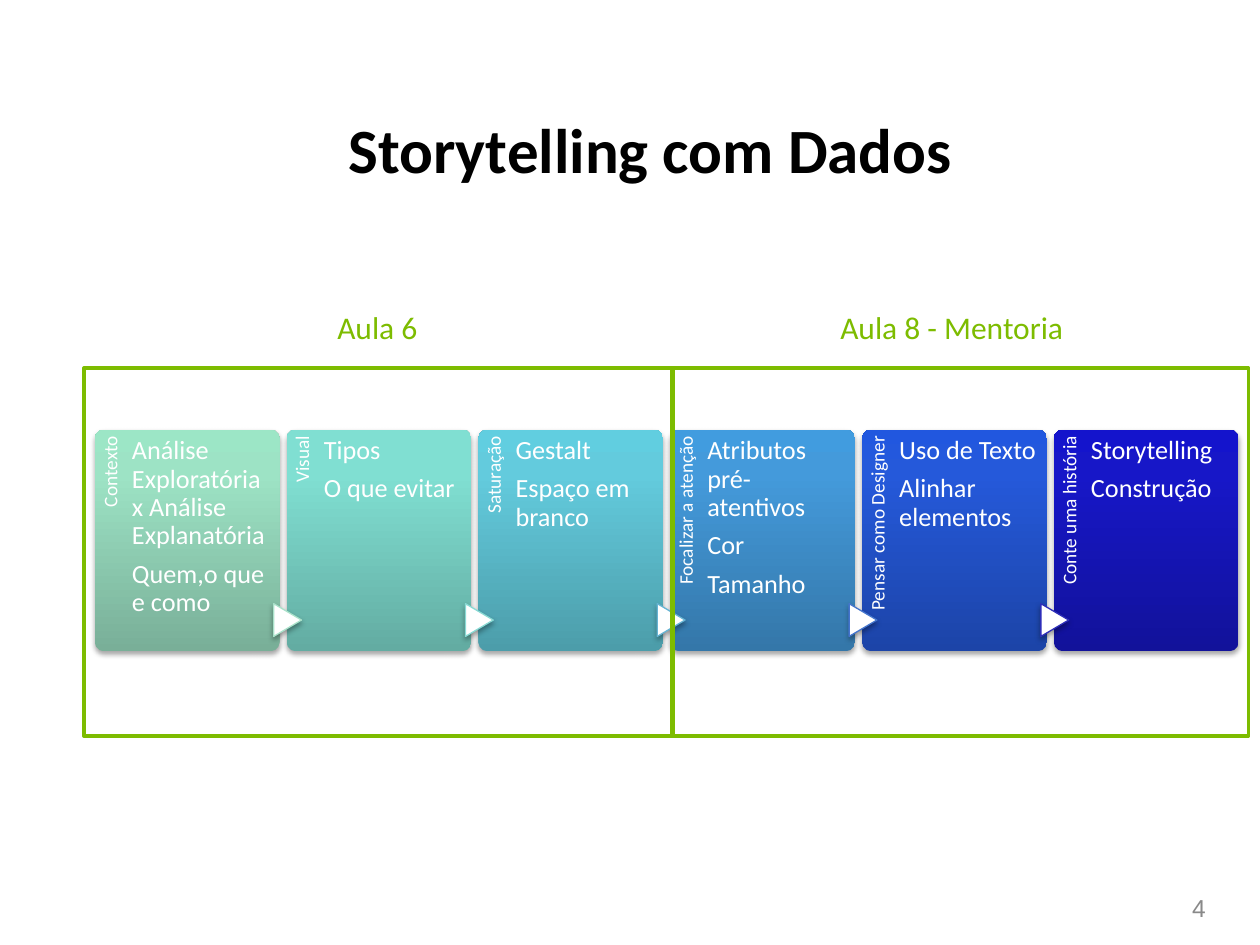
import pptx
import pptx.dml.color
import pptx.enum.shapes
import pptx.enum.text
import pptx.oxml
import pptx.oxml.ns
import pptx.util

Cm = pptx.util.Cm
Shape = pptx.enum.shapes.MSO_SHAPE
Align = pptx.enum.text.PP_ALIGN
Anchor = pptx.enum.text.MSO_ANCHOR
GREEN = "7DBC00"

# label, body lines, gradient from bottom to top, outline of the arrow leading in
STEPS = [
    ("Contexto", ["Análise Exploratória x Análise Explanatória", "Quem,o que e como"],
     ("79AF98", "9DE3C5", "9CE6C6"), None),
    ("Visual", ["Tipos", "O que evitar"],
     ("63ACA2", "80DFD2", "7FE2D4"), "AAE2CA"),
    ("Saturação", ["Gestalt", "Espaço em branco"],
     ("4C9DAA", "63CBDD", "61CEE0"), "89DAD4"),
    ("Focalizar a atenção", ["Atributos pré-atentivos", "Cor", "Tamanho"],
     ("3477A9", "449ADB", "419CDF"), "66B4D3"),
    ("Pensar como Designer", ["Uso de Texto", "Alinhar elementos"],
     ("1C44A8", "2559DA", "2157DF"), "4374CD"),
    ("Conte uma história", ["Storytelling", "Construção"],
     ("12129A", "1717C8", "1414CC"), "2D2DB9"),
]


def rgb(value):
    return pptx.dml.color.RGBColor.from_string(value)


def write(frame, *lines, size, color, font="Calibri", bold=False, align=Align.LEFT,
          anchor=Anchor.TOP, insets=(0.25, 0.13, 0.25, 0.13), wrap=True,
          spacing=1.0, after=0):
    """Fill a text frame, one paragraph per line; insets are in cm."""
    frame.auto_size = pptx.enum.text.MSO_AUTO_SIZE.NONE
    frame.word_wrap = wrap
    frame.vertical_anchor = anchor
    (frame.margin_left, frame.margin_top,
     frame.margin_right, frame.margin_bottom) = map(Cm, insets)
    for index, line in enumerate(lines):
        para = frame.add_paragraph() if index else frame.paragraphs[0]
        para.alignment = align
        para.line_spacing = spacing
        para.space_after = pptx.util.Pt(after)
        span = para.add_run()
        span.text = line
        span.font.name = font
        span.font.size = pptx.util.Pt(size)
        span.font.bold = bold
        span.font.color.rgb = rgb(color)


def add_text(shapes, left, top, width, height, *lines, rotation=0, **style):
    box = shapes.add_textbox(Cm(left), Cm(top), Cm(width), Cm(height))
    box.rotation = rotation
    write(box.text_frame, *lines, **style)


def add_box(shapes, kind, left, top, width, height, fill=None, line=None, weight=0.75):
    box = shapes.add_shape(kind, Cm(left), Cm(top), Cm(width), Cm(height))
    box.shadow.inherit = False
    if fill:
        box.fill.solid()
        box.fill.fore_color.rgb = rgb(fill)
    else:
        box.fill.background()
    if line:
        box.line.color.rgb = rgb(line)
        box.line.width = pptx.util.Pt(weight)
    else:
        box.line.fill.background()
    return box


def set_gradient(shape, colors):
    stops = "".join(
        f'<a:gs pos="{position}"><a:srgbClr val="{color}"/></a:gs>'
        for position, color in zip((0, 80000, 100000), colors))
    gradient = pptx.oxml.parse_xml(
        f'<a:gradFill {pptx.oxml.ns.nsdecls("a")} rotWithShape="1">'
        f'<a:gsLst>{stops}</a:gsLst><a:lin ang="16200000" scaled="0"/></a:gradFill>')
    properties = shape.element.spPr
    properties.replace(properties.find(pptx.oxml.ns.qn("a:noFill")), gradient)


def add_shadow(shape):
    effects = shape.element.spPr.find(pptx.oxml.ns.qn("a:effectLst"))
    effects.append(pptx.oxml.parse_xml(
        f'<a:outerShdw {pptx.oxml.ns.nsdecls("a")} blurRad="39370" dist="22860" '
        'dir="5400000" rotWithShape="0"><a:srgbClr val="000000">'
        '<a:alpha val="35000"/></a:srgbClr></a:outerShdw>'))


def add_step(shapes, left, top, width, height, label, lines, colors, arrow_line):
    card = add_box(shapes, Shape.ROUNDED_RECTANGLE, left, top, width, height)
    card.adjustments[0] = 0.05
    set_gradient(card, colors)
    add_shadow(card)
    add_text(shapes, left - 1.45, top + 1.47, 3.68, 0.74, label, rotation=270,
             size=11, color="FFFFFF", align=Align.RIGHT, spacing=0.9,
             insets=(0, 0.1, 0.13, 0))
    if arrow_line:
        arrow = add_box(shapes, Shape.FLOWCHART_EXTRACT, left - 0.31, top + 3.56,
                        0.66, 0.56, fill="FFFFFF", line=arrow_line)
        arrow.rotation = 90
        add_shadow(arrow)
    add_text(shapes, left + 0.75, top, width - 0.94, height, *lines, size=15,
             color="FFFFFF", spacing=0.9, after=5.7, insets=(0, 0.15, 0, 0))


def add_process(page, left, top, width, height, gap=0.14):
    group = page.shapes.add_group_shape()
    pitch = (width + gap) / len(STEPS)
    for index, step in enumerate(STEPS):
        add_step(group.shapes, left + index * pitch, top, pitch - gap, height, *step)


def add_lesson(page, left, top, width, height, heading, heading_offset, heading_width):
    add_box(page.shapes, Shape.RECTANGLE, left, top, width, height,
            line=GREEN, weight=2.25)
    add_text(page.shapes, left + heading_offset, top - 1.35, heading_width, 1.02,
             heading, size=18, color=GREEN, wrap=False)


def add_title(page, left, top, width, height, text):
    title = page.shapes.title
    title.left, title.top, title.width, title.height = map(Cm, (left, top, width, height))
    write(title.text_frame, text, size=36, color="000000", bold=True,
          align=Align.CENTER, anchor=Anchor.MIDDLE)


def main():
    deck = pptx.Presentation()
    deck.slide_width, deck.slide_height = Cm(25.4), Cm(19.05)
    page = deck.slides.add_slide(deck.slide_layouts[5])
    add_title(page, 2.11, 2.03, 22, 1.9, "Storytelling com Dados")
    add_text(page.shapes, 18.64, 17.88, 5.92, 0.84, "4", size=14, color="898989",
             font="Arial", align=Align.RIGHT, anchor=Anchor.MIDDLE)
    add_process(page, 1.91, 8.66, 23.06, 4.47)
    add_lesson(page, 1.7, 7.42, 11.86, 7.42, "Aula 6", 4.85, 2.16)
    add_lesson(page, 13.54, 7.42, 11.63, 7.42, "Aula 8 - Mentoria", 3.15, 5.05)
    deck.save("out.pptx")


if __name__ == "__main__":
    main()
